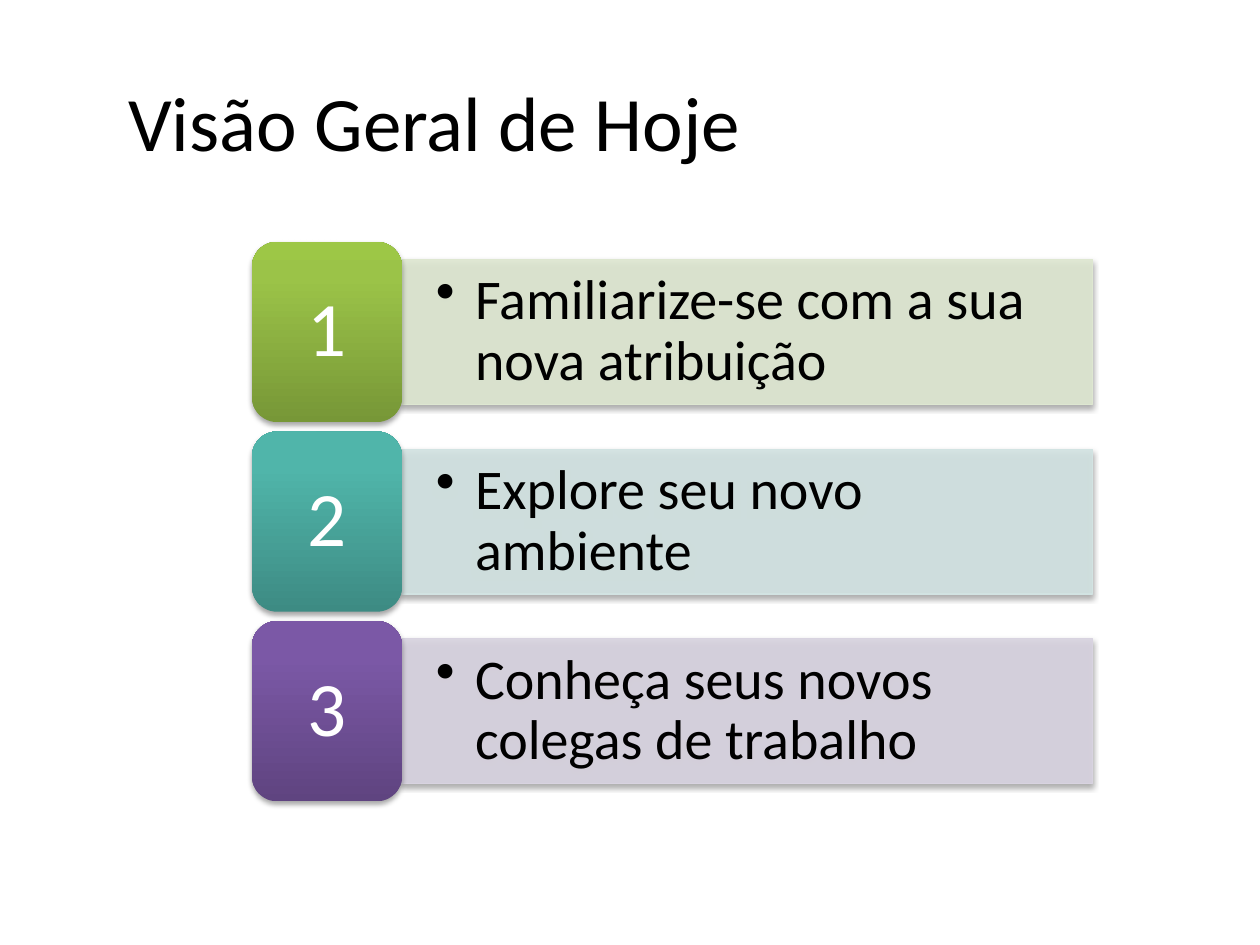
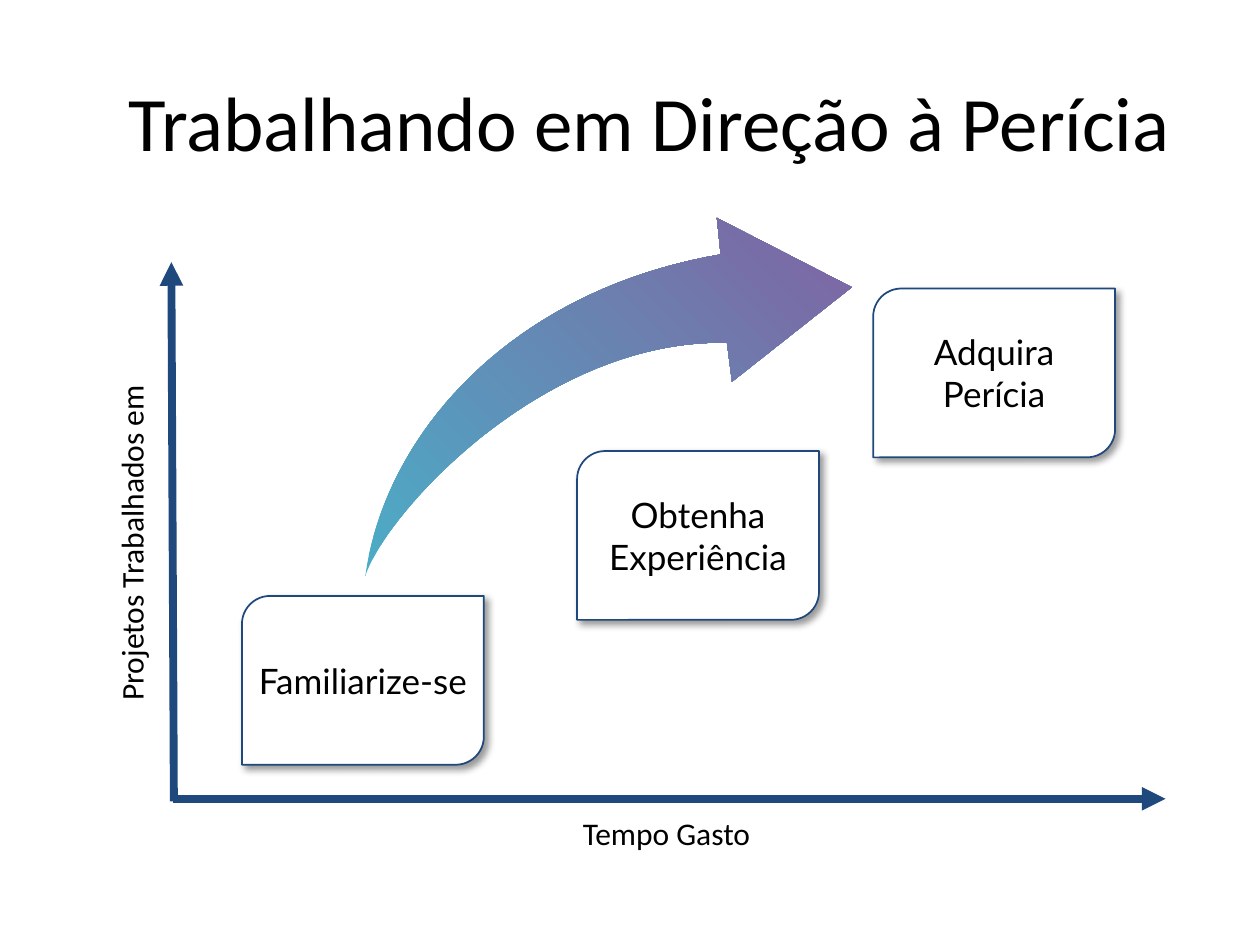
from lxml.etree import SubElement
from pptx import Presentation
from pptx.dml.color import RGBColor
from pptx.enum.shapes import MSO_CONNECTOR as Connector, MSO_SHAPE as Preset
from pptx.enum.text import MSO_ANCHOR as Anchor, PP_ALIGN as Align
from pptx.oxml.ns import qn
from pptx.util import Inches, Pt

CELL = Inches(0.1)
COLUMNS, ROWS = 100, 75
FONT, CARD_FONT = "Calibri", "Lato"
BLACK, WHITE, NAVY = "000000", "FFFFFF", "1F497D"

STEP_TOP, STEP_PITCH = 19.2, 15.05
BADGE_LEFT, BADGE_WIDTH, BADGE_HEIGHT = 20, 11.9, 14.3
BAR_WIDTH, BAR_HEIGHT = 54.8, 11.5
STEPS = [
    ("Familiarize-se com a sua nova atribuição", "DEE7D1", ("779737", "9BC348", "9DC746")),
    ("Explore seu novo ambiente", "D2E3E2", ("3D8B83", "50B5AA", "4EB8AC")),
    ("Conheça seus novos colegas de trabalho", "D8D3E0", ("5F4480", "7B58A6", "7C57A8")),
]
STEP_SHADOW = (35, 3.1, 1.8, 90)

CARD_SIZE = (19.2, 13.4)
CARDS = [
    ("Familiarize-se", 19.2, 47.3),
    ("Obtenha Experiência", 45.8, 35.8),
    ("Adquira Perícia", 69.3, 22.9),
]
CARD_SHADOW = (40, 4, 3, 45)

SWEEP_OUTER = [(29, 45.7), (30.5, 34.7), (40.3, 23.1), (57.2, 20.2)]
SWEEP_HEAD = [(56.9, 17.3), (67.6, 22.8), (58.1, 30.3)]
SWEEP_INNER = [(57.7, 27.2), (43.2, 26.9), (30.7, 40.6), (29, 45.7)]


def color(value):
    return RGBColor.from_string(value)


def cells(*counts):
    return [round(count * CELL) for count in counts]


def fill_solid(shape, value, opacity=100):
    shape.fill.solid()
    shape.fill.fore_color.rgb = color(value)
    if opacity < 100:
        tint = shape._element.spPr.find(qn("a:solidFill"))[0]
        SubElement(tint, qn("a:alpha"), val=str(opacity * 1000))


def fill_gradient(shape, stops, angle):
    shape.fill.gradient()
    shape.fill.gradient_angle = angle
    stop_list = shape._element.spPr.find(".//" + qn("a:gsLst"))
    for stop in list(stop_list):
        stop_list.remove(stop)
    for position, value in stops:
        stop = SubElement(stop_list, qn("a:gs"), pos=str(position * 1000))
        SubElement(stop, qn("a:srgbClr"), val=value)


def outline(shape, value=None, width=1):
    if value is None:
        shape.line.fill.background()
    else:
        shape.line.color.rgb = color(value)
        shape.line.width = Pt(width)


def cast_shadow(shape, opacity, blur, distance, angle):
    shape.shadow.inherit = False
    effects = shape._element.spPr.find(qn("a:effectLst"))
    shadow = SubElement(
        effects, qn("a:outerShdw"), blurRad=str(Pt(blur)), dist=str(Pt(distance)),
        dir=str(angle * 60000), algn="ctr", rotWithShape="0",
    )
    tint = SubElement(shadow, qn("a:srgbClr"), val=BLACK)
    SubElement(tint, qn("a:alpha"), val=str(opacity * 1000))


def write(shape, text, size, value=BLACK, font=FONT, align=Align.CENTER,
          anchor=Anchor.MIDDLE, margins=(1, 0.5), spacing=None):
    frame = shape.text_frame
    frame.word_wrap = True
    frame.vertical_anchor = anchor
    frame.margin_left = frame.margin_right = cells(margins[0])[0]
    frame.margin_top = frame.margin_bottom = cells(margins[1])[0]
    paragraph = frame.paragraphs[0]
    paragraph.alignment = align
    if spacing:
        paragraph.line_spacing = spacing
    run = paragraph.add_run()
    run.text = text
    run.font.size = Pt(size)
    run.font.name = font
    run.font.color.rgb = color(value)
    return paragraph


def add_bullet(paragraph, indent):
    properties = paragraph._p.get_or_add_pPr()
    distance = cells(indent)[0]
    properties.set("marL", str(distance))
    properties.set("indent", str(-distance))
    SubElement(properties, qn("a:buChar"), char="•")


def add_title(slide, text):
    box = slide.shapes.add_textbox(*cells(9.2, 3.3, 88.3, 12.5))
    write(box, text, 44, align=Align.LEFT)


def add_step(slide, index, text, bar_color, badge_colors):
    top = STEP_TOP + index * STEP_PITCH
    bar_top = top + (BADGE_HEIGHT - BAR_HEIGHT) / 2
    bar = slide.shapes.add_shape(
        Preset.RECTANGLE,
        *cells(BADGE_LEFT + BADGE_WIDTH, bar_top, BAR_WIDTH, BAR_HEIGHT))
    fill_solid(bar, bar_color, 90)
    outline(bar, bar_color, 0.75)
    cast_shadow(bar, *STEP_SHADOW)
    paragraph = write(bar, text, 32, align=Align.LEFT, margins=(2.7, 1.4), spacing=0.9)
    add_bullet(paragraph, 3.1)

    badge = slide.shapes.add_shape(
        Preset.ROUNDED_RECTANGLE, *cells(BADGE_LEFT, top, BADGE_WIDTH, BADGE_HEIGHT))
    fill_gradient(badge, zip((0, 80, 100), badge_colors), 90)
    outline(badge)
    cast_shadow(badge, *STEP_SHADOW)
    write(badge, str(index + 1), 44, WHITE, spacing=0.9)


def add_axis(slide, start, end):
    axis = slide.shapes.add_connector(Connector.STRAIGHT, *cells(*start, *end))
    outline(axis, NAVY, 4.5)
    SubElement(axis.line._get_or_add_ln(), qn("a:tailEnd"), type="triangle")
    SubElement(axis._element.spPr, qn("a:effectLst"))


def add_axis_label(slide, text, bounds, rotation=0):
    label = slide.shapes.add_textbox(*cells(*bounds))
    label.rotation = rotation
    write(label, text, 18, anchor=Anchor.TOP)


def add_card(slide, text, left, top):
    card = slide.shapes.add_shape(
        Preset.ROUND_2_DIAG_RECTANGLE, *cells(left, top, *CARD_SIZE))
    fill_solid(card, WHITE)
    outline(card, NAVY)
    cast_shadow(card, *CARD_SHADOW)
    write(card, text, 20, font=CARD_FONT, margins=(0.5, 0.5))


def curve_points(controls, count=40):
    def along(axis, t):
        a, b, c, d = (point[axis] for point in controls)
        u = 1 - t
        return a * u**3 + 3 * b * u * u * t + 3 * c * u * t * t + d * t**3

    return [(along(0, i / count), along(1, i / count)) for i in range(count + 1)]


def add_sweeping_arrow(slide):
    points = curve_points(SWEEP_OUTER) + SWEEP_HEAD + curve_points(SWEEP_INNER)
    start, *others = [cells(*point) for point in points]
    builder = slide.shapes.build_freeform(*start)
    builder.add_line_segments(others, close=True)
    arrow = builder.convert_to_shape()
    fill_gradient(arrow, [(0, "4BACC6"), (100, "8064A2")], 45)
    outline(arrow)
    arrow.shadow.inherit = False


def build_overview(slide):
    for index, step in enumerate(STEPS):
        add_step(slide, index, *step)
    add_title(slide, "Visão Geral de Hoje")


def build_progress(slide):
    add_axis(slide, (13.7, 63.4), (92.5, 63.4))
    add_axis(slide, (13.8, 63.6), (13.6, 20.8))
    add_axis_label(slide, "Tempo Gasto", (15.8, 64.1, 74.2, 4))
    add_axis_label(slide, "Projetos Trabalhados em", (-9.9, 41.1, 40.6, 4), 270)
    for card in CARDS:
        add_card(slide, *card)
    add_title(slide, "Trabalhando em Direção à Perícia")
    add_sweeping_arrow(slide)


def main():
    presentation = Presentation()
    presentation.slide_width = COLUMNS * CELL
    presentation.slide_height = ROWS * CELL
    blank = presentation.slide_layouts[6]
    for build in (build_overview, build_progress):
        build(presentation.slides.add_slide(blank))
    presentation.save("out.pptx")


if __name__ == "__main__":
    main()
